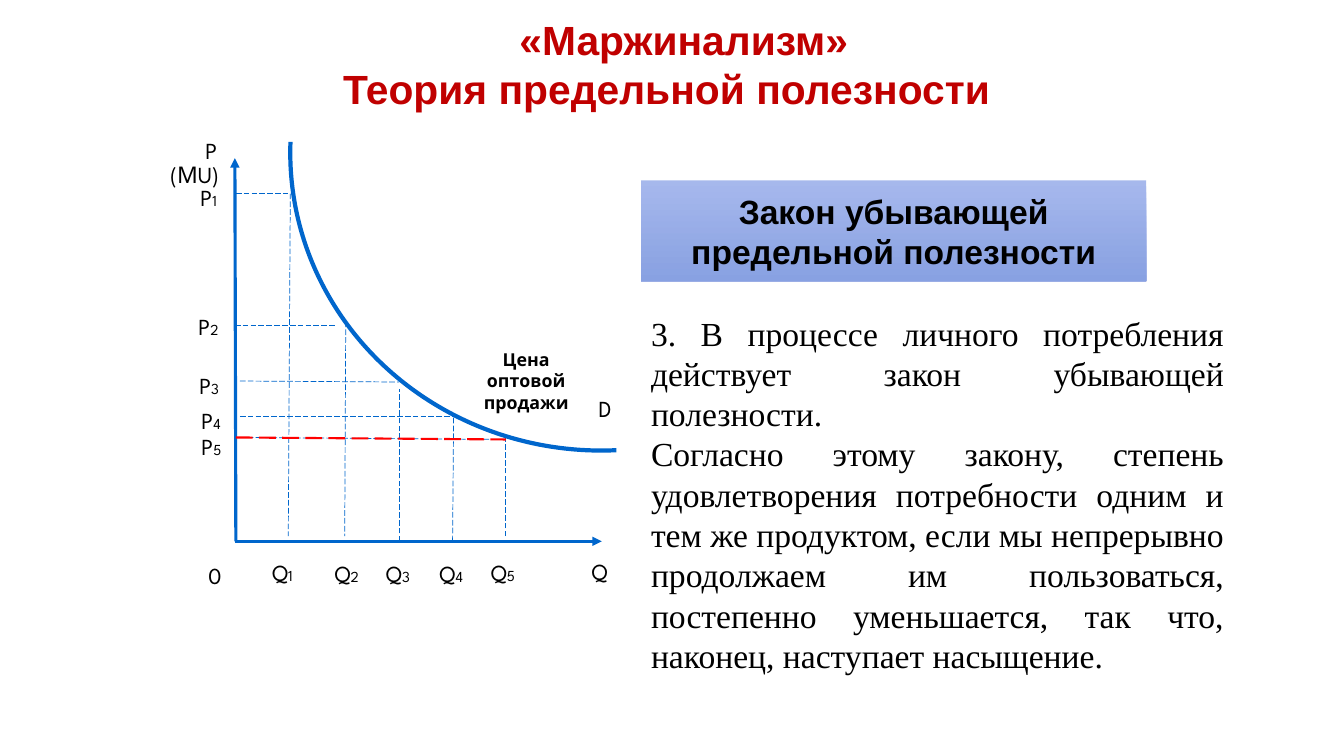
"""Slide on marginalism: a demand curve beside the law of diminishing marginal utility."""
from typing import NamedTuple

import lxml.etree
import pptx
import pptx.dml.color
import pptx.enum.dml
import pptx.enum.shapes
import pptx.enum.text
import pptx.oxml.ns
import pptx.util

CELL = 0.1
COLORS = {"title": "C00000", "text": "000000", "axis": "0066CC", "wholesale": "FF0000",
          "law_top": "9DB1EB", "law_bottom": "7C97DF"}
ALIGN = pptx.enum.text.PP_ALIGN
MIDDLE = pptx.enum.text.MSO_ANCHOR.MIDDLE
SHAPES = pptx.enum.shapes.MSO_SHAPE


class Area(NamedTuple):
    column: float
    row: float
    columns: float
    rows: float


class Style(NamedTuple):
    font: str
    size: float
    color: str = "text"
    bold: bool = False
    align: ALIGN = ALIGN.LEFT


class Segment(NamedTuple):
    start: tuple[float, float]
    end: tuple[float, float]
    color: str = "axis"
    width: float = 0.5
    dashed: bool = True
    arrow: bool = False


class Label(NamedTuple):
    text: str
    area: Area
    subscript: str = ""


class DemandPoint(NamedTuple):
    price_label: tuple[float, float]
    quantity_label: tuple[float, float]
    price_line: Segment
    quantity_line: Segment


TITLE = Style("Arial", 29.1, "title", True, ALIGN.CENTER)
LAW = Style("Arial", 24, "text", True, ALIGN.CENTER)
BODY = Style("Times New Roman", 24, align=ALIGN.JUSTIFY)
AXIS = Style("League Spartan", 16.4)
WHOLESALE = Style("League Spartan", 12.7, "text", True, ALIGN.CENTER)
SUBSCRIPT_SIZE = 10.9

LAW_AREA = Area(63.6, 17.9, 50.1, 10)
CURVE_AREA = Area(30.1, -15.7, 59.1, 61.7)

AXES = [
    Segment((23.4, 53.7), (23.3, 15.7), width=2.25, dashed=False, arrow=True),
    Segment((23.3, 53.7), (59.7, 53.7), width=2.25, dashed=False, arrow=True),
]
AXIS_LABELS = [
    Label("P", Area(19.4, 13.1, 2.9, 3.8)),
    Label("(МU)", Area(15.9, 15.4, 7.2, 3.8)),
    Label("0", Area(19.7, 55.2, 3.4, 3.8)),
    Label("Q", Area(57.7, 54.8, 5.3, 3.8)),
    Label("D", Area(58.4, 38.6, 2.9, 3.8)),
]
DEMAND = [
    DemandPoint((18.9, 17.7), (26, 54.9), Segment((23.4, 19.2), (28.6, 19.2)),
                Segment((28.8, 19.2), (28.6, 53.2))),
    DemandPoint((18.7, 30.5), (32.2, 55), Segment((23.3, 32.3), (33.4, 32.3)),
                Segment((34.3, 31.9), (34.2, 53.2))),
    DemandPoint((18.8, 36.4), (37.3, 55), Segment((23.8, 37.8), (39.6, 37.9)),
                Segment((39.6, 53.7), (39.6, 38.6))),
    DemandPoint((19, 39.8), (42.6, 55), Segment((23.8, 41.3), (45.3, 41.3)),
                Segment((44.9, 53.7), (45, 41.4))),
    DemandPoint((19, 42.4), (47.7, 54.9), Segment((23.8, 43.4), (50.2, 43.6)),
                Segment((50.1, 53.2), (50.1, 43.5))),
]
WHOLESALE_LINE = Segment((23.4, 43.4), (50.2, 43.6), "wholesale", 1.5)
THEORY = [
    "3. В процессе личного потребления действует закон убывающей полезности.",
    "Согласно этому закону, степень удовлетворения потребности одним и тем же продуктом, "
    "если мы непрерывно продолжаем им пользоваться, постепенно уменьшается, так что, "
    "наконец, наступает насыщение.",
]


def grid(cells: float) -> pptx.util.Inches:
    return pptx.util.Inches(cells * CELL)


def place(area: Area) -> list[pptx.util.Inches]:
    return [grid(cells) for cells in area]


def rgb(name: str) -> pptx.dml.color.RGBColor:
    return pptx.dml.color.RGBColor.from_string(COLORS[name])


def add_element(parent, tag: str, **attributes: str) -> None:
    lxml.etree.SubElement(parent, pptx.oxml.ns.qn(tag), **attributes)


def format_frame(frame, style: Style) -> None:
    frame.word_wrap = True
    for paragraph in frame.paragraphs:
        paragraph.alignment = style.align
        for run in paragraph.runs:
            run.font.name = style.font
            run.font.size = pptx.util.Pt(style.size)
            run.font.bold = style.bold
            run.font.color.rgb = rgb(style.color)


def draw_text(slide, text: str, area: Area, style: Style):
    frame = slide.shapes.add_textbox(*place(area)).text_frame
    frame.text = text
    format_frame(frame, style)
    return frame


def draw_label(slide, label: Label) -> None:
    frame = draw_text(slide, label.text, label.area, AXIS)
    if label.subscript:
        index = frame.paragraphs[0].add_run()
        index.text = label.subscript
        format_frame(frame, AXIS)
        index.font.size = pptx.util.Pt(SUBSCRIPT_SIZE)


def draw_segment(slide, segment: Segment) -> None:
    ends = [grid(cells) for cells in segment.start + segment.end]
    connector = slide.shapes.add_connector(pptx.enum.shapes.MSO_CONNECTOR.STRAIGHT, *ends)
    connector.line.color.rgb = rgb(segment.color)
    connector.line.width = pptx.util.Pt(segment.width)
    if segment.dashed:
        connector.line.dash_style = pptx.enum.dml.MSO_LINE.LONG_DASH
    properties = connector._element.spPr
    if segment.arrow:
        add_element(properties.find(pptx.oxml.ns.qn("a:ln")), "a:tailEnd", type="triangle")
    add_element(properties, "a:effectLst")


def draw_title(slide) -> None:
    frame = draw_text(slide, "«Маржинализм»\nТеория предельной полезности",
                      Area(23, 2.3, 86.3, 8.1), TITLE)
    frame.vertical_anchor = MIDDLE
    frame.paragraphs[0]._p.get_or_add_pPr().set("marL", str(grid(3.4)))


def draw_law(slide) -> None:
    law = slide.shapes.add_shape(SHAPES.RECTANGLE, *place(LAW_AREA))
    law.shadow.inherit = False
    law.line.fill.background()
    law.fill.gradient()
    law.fill.gradient_angle = 270
    for stop, name, position in zip(law.fill.gradient_stops, ("law_top", "law_bottom"), (0, 1)):
        stop.color.rgb = rgb(name)
        stop.position = position
    for color in law._element.spPr.iter(pptx.oxml.ns.qn("a:srgbClr")):
        add_element(color, "a:alpha", val="90000")
    law.text_frame.text = "Закон убывающей предельной полезности"
    law.text_frame.vertical_anchor = MIDDLE
    format_frame(law.text_frame, LAW)


def draw_curve(slide) -> None:
    curve = slide.shapes.add_shape(SHAPES.ARC, *place(CURVE_AREA))
    curve.shadow.inherit = False
    curve.adjustments[0] = 160.81
    curve.adjustments[1] = 1.75
    curve.rotation = 270
    curve._element.spPr.xfrm.set("flipH", "1")
    curve.fill.background()
    curve.line.color.rgb = rgb("axis")
    curve.line.width = pptx.util.Pt(3)


def main() -> None:
    presentation = pptx.Presentation()
    presentation.slide_width = grid(133.33)
    presentation.slide_height = grid(75)
    slide = presentation.slides.add_slide(presentation.slide_layouts[6])
    draw_title(slide)
    draw_law(slide)
    for axis in AXES:
        draw_segment(slide, axis)
    for label in AXIS_LABELS:
        draw_label(slide, label)
    for number, point in enumerate(DEMAND, start=1):
        draw_segment(slide, point.price_line)
        draw_segment(slide, point.quantity_line)
        draw_label(slide, Label("P", Area(*point.price_label, 4.2, 3.8), str(number)))
        draw_label(slide, Label("Q", Area(*point.quantity_label, 5.1, 3.8), str(number)))
    draw_segment(slide, WHOLESALE_LINE)
    draw_text(slide, "Цена оптовой продажи", Area(46.1, 34.1, 12.2, 7.4), WHOLESALE)
    draw_curve(slide)
    draw_text(slide, "\n".join(THEORY), Area(63.6, 30.5, 58.8, 42.1), BODY)
    presentation.save("out.pptx")


if __name__ == "__main__":
    main()
